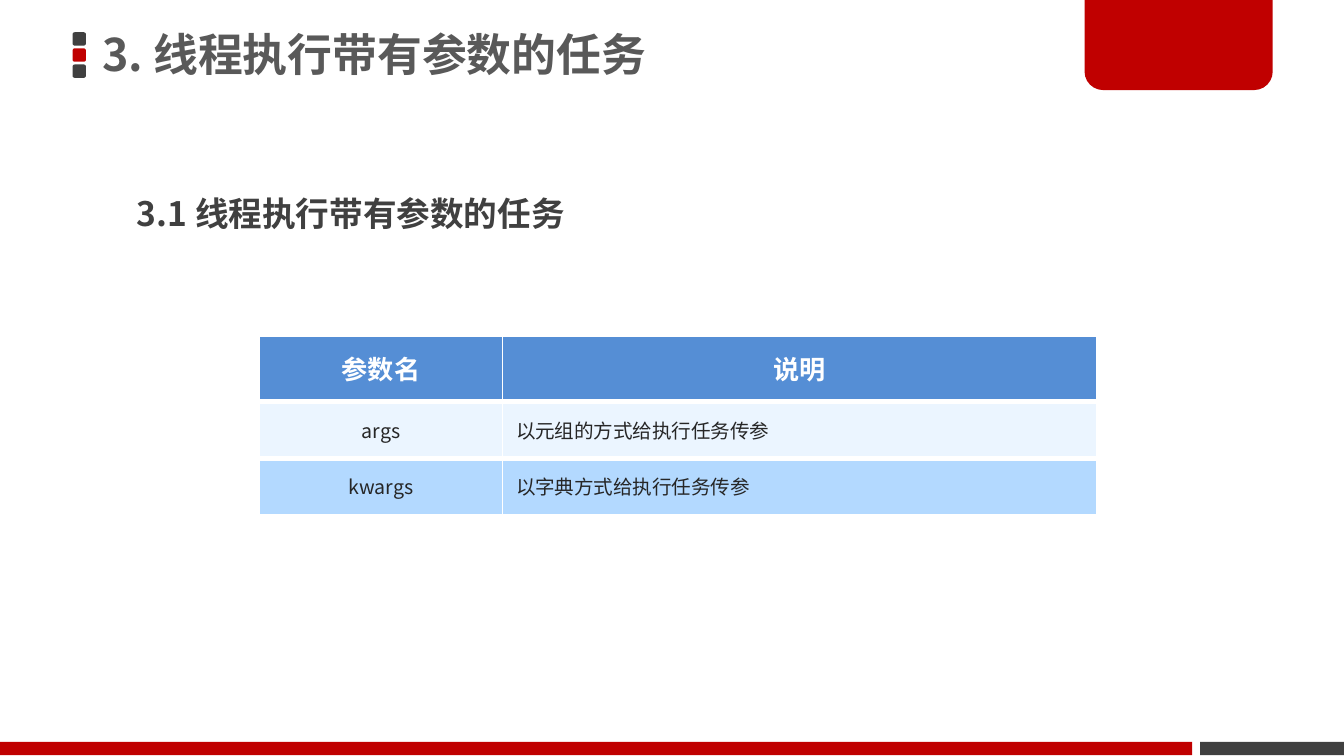
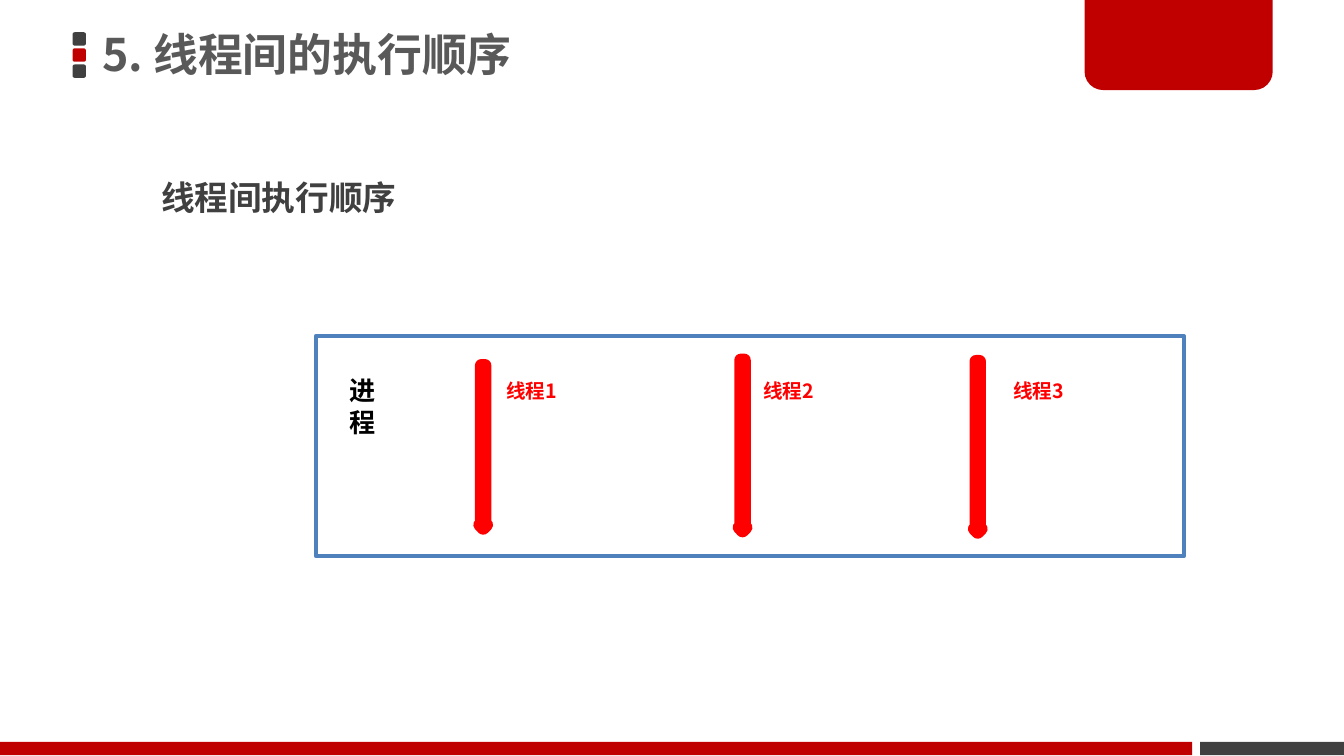
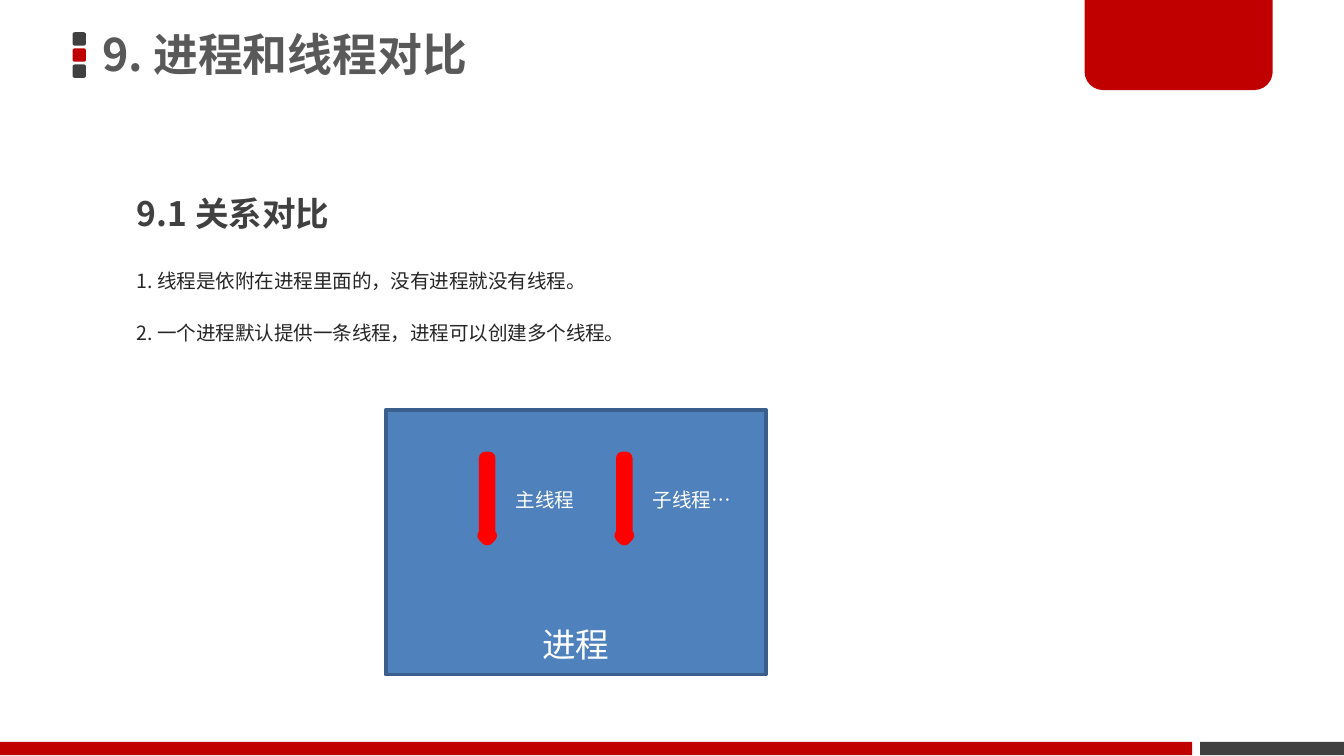
from lxml.etree import SubElement
from pptx import Presentation
from pptx.dml.color import RGBColor
from pptx.enum.shapes import MSO_SHAPE
from pptx.enum.text import MSO_ANCHOR, MSO_AUTO_SIZE, PP_ALIGN
from pptx.oxml.ns import qn
from pptx.util import Inches, Pt

FONT = "Noto Sans CJK SC"
LATIN_FONT = "Calibri"
RED = "C00000"
DARK = "404040"
TITLE_GRAY = "595959"
BODY = "262626"
WHITE = "FFFFFF"
THREAD_RED = "FF0000"
PROCESS_BLUE = "4F81BD"
PROCESS_EDGE = "3A5F8C"
HEADER_BLUE = "558ED5"
ROW_FILLS = ["EBF5FF", "B3D9FF"]


def color(value):
    return RGBColor.from_string(value)


class Deck:
    """Holds the shared style and the current slide, and draws each element."""

    def __init__(self):
        self.presentation = Presentation()
        self.presentation.slide_width = Inches(10)
        self.presentation.slide_height = Inches(10 * 9 / 16)
        self.slide = None

    def start_slide(self, title):
        layout = self.presentation.slide_layouts[6]
        self.slide = self.presentation.slides.add_slide(layout)
        for index, fill in enumerate([DARK, RED, DARK]):
            top = 0.24 + 0.12 * index
            self.shape(MSO_SHAPE.ROUNDED_RECTANGLE, 0.54, top, 0.1, 0.1, fill)
        self.shape(MSO_SHAPE.RECTANGLE, 8.93, 5.52, 1.07, 0.1, DARK)
        tab = self.shape(MSO_SHAPE.ROUND_2_SAME_RECTANGLE, 8.07, -0.02, 1.4, 0.69, RED)
        tab.adjustments[0] = 0
        tab.adjustments[1] = 0.2
        self.shape(MSO_SHAPE.RECTANGLE, 0, 5.52, 8.87, 0.1, RED)
        box = self.text(title, 0.69, -0.02, 5.89, 0.89, 24, TITLE_GRAY, True, spacing=0.9)
        frame = box.text_frame
        frame.auto_size = MSO_AUTO_SIZE.NONE
        frame.vertical_anchor = MSO_ANCHOR.MIDDLE
        frame.margin_left = frame.margin_right = Inches(0.07)
        frame.margin_top = frame.margin_bottom = Inches(0.04)

    def shape(self, kind, left, top, width, height, fill=None, line=None, weight=2):
        shape = self.slide.shapes.add_shape(
            kind, Inches(left), Inches(top), Inches(width), Inches(height))
        shape.shadow.inherit = False
        if fill:
            shape.fill.solid()
            shape.fill.fore_color.rgb = color(fill)
        else:
            shape.fill.background()
        if line:
            shape.line.color.rgb = color(line)
            shape.line.width = Pt(weight)
        else:
            shape.line.fill.background()
        return shape

    def run(self, paragraph, text, size, ink, bold=False, font=FONT):
        run = paragraph.add_run()
        run.text = text
        run.font.size = Pt(size)
        run.font.bold = bold
        run.font.color.rgb = color(ink)
        run.font.name = font
        east_asian = SubElement(run.font._element, qn("a:ea"))
        east_asian.set("typeface", font)

    def text(self, text, left, top, width, height, size=10.5, ink=BODY, bold=False,
             font=FONT, spacing=None):
        box = self.slide.shapes.add_textbox(
            Inches(left), Inches(top), Inches(width), Inches(height))
        frame = box.text_frame
        frame.word_wrap = True
        frame.auto_size = MSO_AUTO_SIZE.SHAPE_TO_FIT_TEXT
        for index, line in enumerate(text.split("\n")):
            paragraph = frame.add_paragraph() if index else frame.paragraphs[0]
            paragraph.line_spacing = spacing
            self.run(paragraph, line, size, ink, bold, font)
        return box

    def heading(self, text, left=0.92, top=1.24, height=0.56):
        self.text(text, left, top, 3.84, height, 18, DARK, True, spacing=1.5)

    def thread(self, left, top, height):
        self.shape(MSO_SHAPE.DOWN_ARROW, left, top, 0.05, height, line=THREAD_RED, weight=7)

    def cell(self, cell, text, fill, size, ink, bold, centered, borders):
        properties = cell._tc.get_or_add_tcPr()
        for side, weight in borders.items():
            line = SubElement(properties, qn(f"a:ln{side}"), w=str(Pt(weight)))
            solid = SubElement(line, qn("a:solidFill"))
            SubElement(solid, qn("a:srgbClr"), val=WHITE)
        cell.fill.solid()
        cell.fill.fore_color.rgb = color(fill)
        paragraph = cell.text_frame.paragraphs[0]
        paragraph.alignment = PP_ALIGN.CENTER if centered else PP_ALIGN.LEFT
        self.run(paragraph, text, size, ink, bold)

    def table(self, rows, left, top, widths, heights):
        table = self.slide.shapes.add_table(
            len(rows), len(widths), Inches(left), Inches(top),
            Inches(sum(widths)), Inches(sum(heights))).table
        for column, width in zip(table.columns, widths):
            column.width = Inches(width)
        for row_index, texts in enumerate(rows):
            table.rows[row_index].height = Inches(heights[row_index])
            header = row_index == 0
            borders = {"L": 1, "R": 1, "T": 1 if header else 3,
                       "B": 1 if row_index == len(rows) - 1 else 3}
            for column_index, text in enumerate(texts):
                cell = table.cell(row_index, column_index)
                if header:
                    self.cell(cell, text, HEADER_BLUE, 14, WHITE, True, True, borders)
                    cell.text_frame.paragraphs[0].line_spacing = Pt(24)
                else:
                    fill = ROW_FILLS[(row_index - 1) % 2]
                    self.cell(cell, text, fill, 10.5, BODY, False, column_index == 0, borders)
                    cell.vertical_anchor = MSO_ANCHOR.MIDDLE


def parameters_slide(deck):
    deck.start_slide("3. 线程执行带有参数的任务")
    deck.table(
        [["参数名", "说明"],
         ["args", "以元组的方式给执行任务传参"],
         ["kwargs", "以字典方式给执行任务传参"]],
        1.93, 2.5, [1.81, 4.42], [0.49, 0.42, 0.42])
    deck.heading("3.1 线程执行带有参数的任务")


def order_slide(deck):
    deck.start_slide("5. 线程间的执行顺序")
    deck.heading("线程间执行顺序", 1.1, 1.12)
    deck.shape(MSO_SHAPE.RECTANGLE, 2.35, 2.5, 6.46, 1.64, WHITE, PROCESS_BLUE)
    process = deck.text("进\n程", 2.5, 2.74, 0.4, 0.57, 14, "000000", True, LATIN_FONT)
    process.text_frame.word_wrap = False
    threads = [(3.57, 2.72, 1.21, 3.67), (5.5, 2.68, 1.27, 5.58), (7.25, 2.69, 1.27, 7.44)]
    for number, (left, top, height, label_left) in enumerate(threads, 1):
        deck.thread(left, top, height)
        deck.text(f"线程{number}", label_left, 2.77, 1.21, 0.28, ink=THREAD_RED, bold=True)


def comparison_slide(deck):
    deck.start_slide("9. 进程和线程对比")
    deck.heading("9.1 关系对比", height=0.5)
    points = ["1. 线程是依附在进程里面的，没有进程就没有线程。",
              "2. 一个进程默认提供一条线程，进程可以创建多个线程。"]
    for index, point in enumerate(points):
        deck.text(point, 0.92, 1.95 + 0.39 * index, 7.09, 0.28)
    process = deck.shape(
        MSO_SHAPE.RECTANGLE, 2.87, 3.05, 2.83, 1.97, PROCESS_BLUE, PROCESS_EDGE)
    frame = process.text_frame
    frame.vertical_anchor = MSO_ANCHOR.BOTTOM
    frame.margin_bottom = Inches(0.08)
    frame.paragraphs[0].alignment = PP_ALIGN.CENTER
    deck.run(frame.paragraphs[0], "进程", 18, WHITE, font=LATIN_FONT)
    for left, label, width in [(3.6, "主线程", 0.72), (4.62, "子线程…", 0.91)]:
        deck.thread(left, 3.41, 0.6)
        deck.text(label, left + 0.14, 3.58, width, 0.28, ink=WHITE)


def main():
    deck = Deck()
    parameters_slide(deck)
    order_slide(deck)
    comparison_slide(deck)
    deck.presentation.save("out.pptx")


if __name__ == "__main__":
    main()
